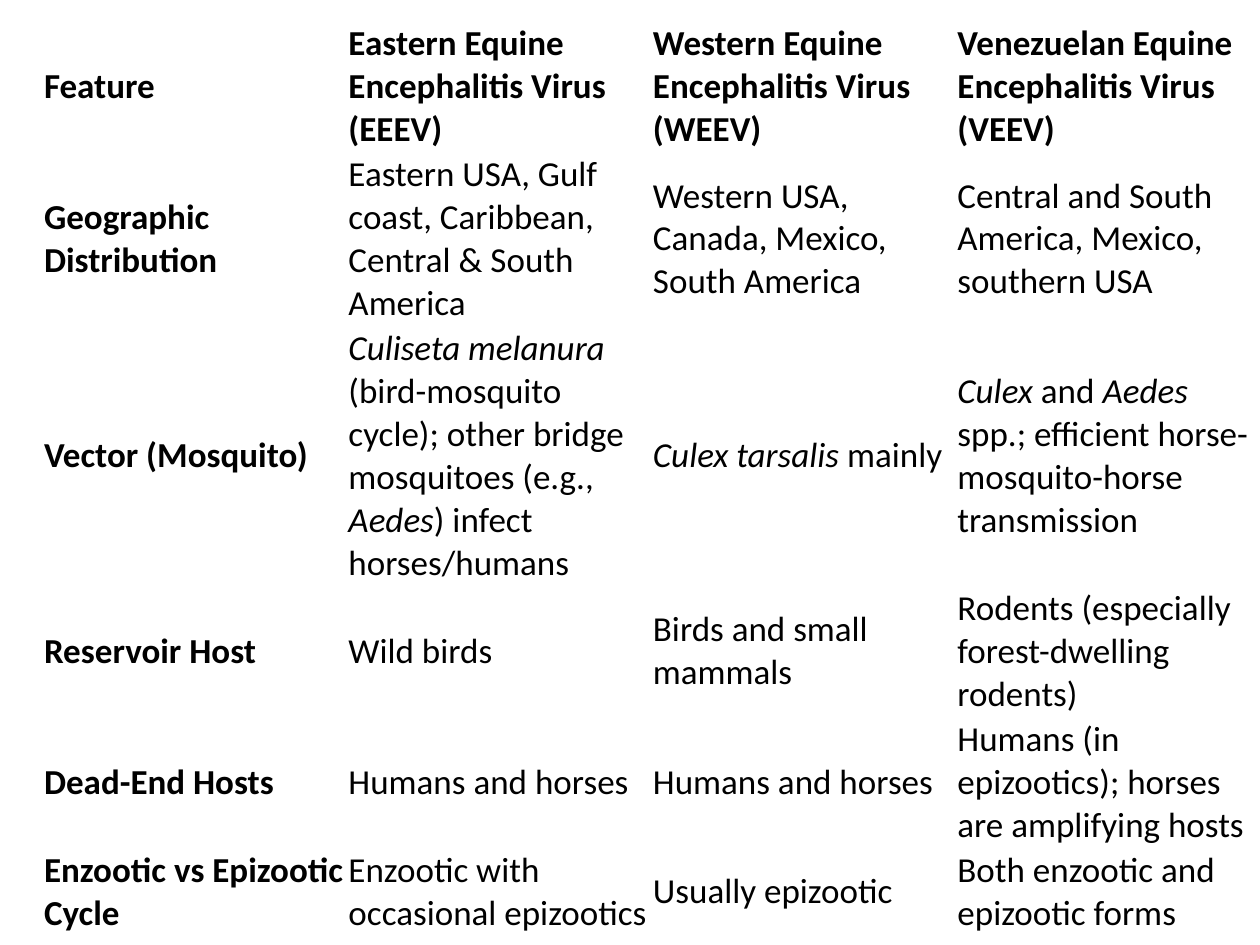
import dataclasses

import pptx
import pptx.dml.color
import pptx.enum.text
import pptx.util

EMU_PER_PX = 914400 // 126


@dataclasses.dataclass(frozen=True)
class Theme:
    font: str = "Calibri"
    size: int = 20
    ink: str = "000000"
    background: str = "FFFFFF"


THEME = Theme()
LINE_HEIGHT = 43
SIDE_INSET = 2
EDGE_INSET = 1
ITALIC_MARK = "*"

VIRUS_FEATURES = [
    (3, ["Feature",
         "Eastern Equine Encephalitis Virus (EEEV)",
         "Western Equine Encephalitis Virus (WEEV)",
         "Venezuelan Equine Encephalitis Virus (VEEV)"]),
    (4, ["Geographic Distribution",
         "Eastern USA, Gulf coast, Caribbean, Central & South America",
         "Western USA, Canada, Mexico, South America",
         "Central and South America, Mexico, southern USA"]),
    (6, ["Vector (Mosquito)",
         "*Culiseta melanura* (bird-mosquito cycle); other bridge mosquitoes "
         "(e.g., *Aedes*) infect horses/humans",
         "*Culex tarsalis* mainly",
         "*Culex* and *Aedes* spp.; efficient horse-mosquito-horse transmission"]),
    (3, ["Reservoir Host",
         "Wild birds",
         "Birds and small mammals",
         "Rodents (especially forest-dwelling rodents)"]),
    (3, ["Dead-End Hosts",
         "Humans and horses",
         "Humans and horses",
         "Humans (in epizootics); horses are amplifying hosts"]),
    (2, ["Enzootic vs Epizootic Cycle",
         "Enzootic with occasional epizootics",
         "Usually epizootic",
         "Both enzootic and epizootic forms"]),
]


def px(length):
    return pptx.util.Emu(length * EMU_PER_PX)


def rgb(value):
    return pptx.dml.color.RGBColor.from_string(value)


def add_runs(paragraph, wording, bold):
    for position, words in enumerate(wording.split(ITALIC_MARK)):
        if words:
            run = paragraph.add_run()
            run.text = words
            run.font.name = THEME.font
            run.font.size = pptx.util.Pt(THEME.size)
            run.font.color.rgb = rgb(THEME.ink)
            run.font.bold = bold
            run.font.italic = position % 2 == 1


def fill_cell(cell, wording, bold):
    cell.fill.background()
    cell.vertical_anchor = pptx.enum.text.MSO_ANCHOR.MIDDLE
    cell.margin_left = cell.margin_right = px(SIDE_INSET)
    cell.margin_top = cell.margin_bottom = px(EDGE_INSET)
    add_runs(cell.text_frame.paragraphs[0], wording, bold)


def add_comparison(slide, left, top, width, features):
    heights = [lines * LINE_HEIGHT + 2 * EDGE_INSET for lines, _ in features]
    comparison = slide.shapes.add_table(
        len(features), len(features[0][1]),
        px(left), px(top), px(width), px(sum(heights))).table
    comparison.first_row = False
    comparison.horz_banding = False
    for row_index, (height, (_, wordings)) in enumerate(zip(heights, features)):
        comparison.rows[row_index].height = px(height)
        for column_index, wording in enumerate(wordings):
            is_heading = row_index == 0 or column_index == 0
            fill_cell(comparison.cell(row_index, column_index), wording, is_heading)


def main():
    deck = pptx.Presentation()
    deck.slide_width = px(1260)
    deck.slide_height = px(945)
    slide = deck.slides.add_slide(deck.slide_layouts[6])
    slide.background.fill.solid()
    slide.background.fill.fore_color.rgb = rgb(THEME.background)
    add_comparison(slide, 42, 21, 1218, VIRUS_FEATURES)
    deck.save("out.pptx")


if __name__ == "__main__":
    main()
